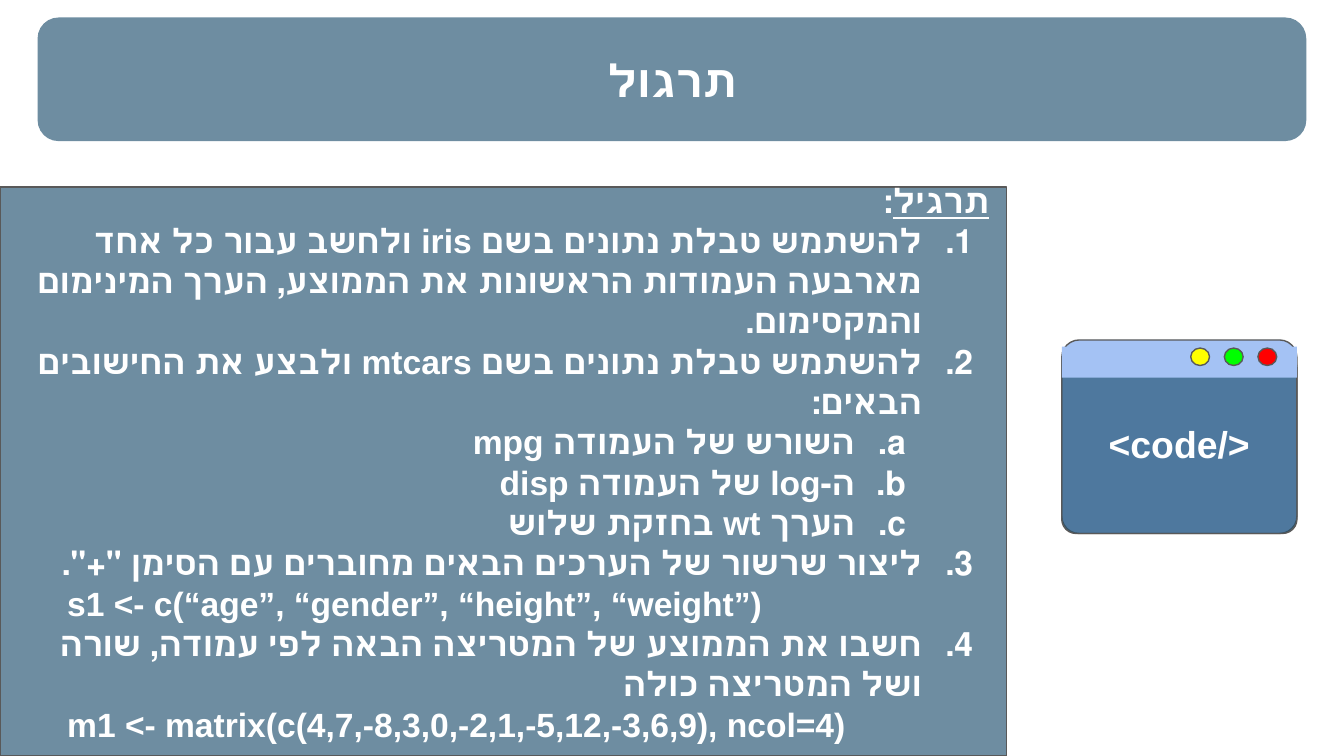
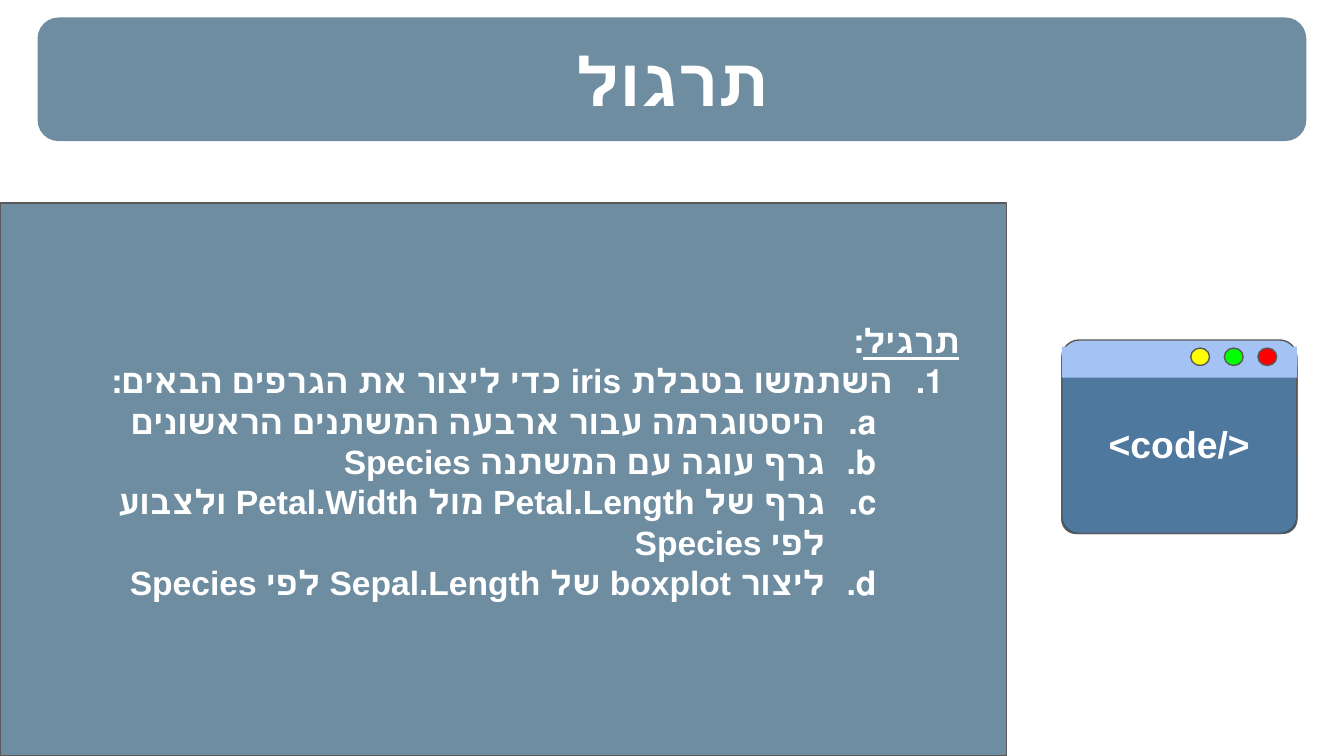
"""Build two Hebrew exercise slides about R."""
import pptx
import pptx.dml.color
import pptx.enum.shapes
import pptx.enum.text
import pptx.oxml.ns
import pptx.util
from lxml import etree

Inches = pptx.util.Inches
Pt = pptx.util.Pt
SHAPE = pptx.enum.shapes.MSO_SHAPE
ALIGN = pptx.enum.text.PP_ALIGN
qn = pptx.oxml.ns.qn

WIDTH = 10
HEIGHT = WIDTH * 9 / 16
FONT = "Arial"
TEAL, SKY, GREY, WHITE = "215170", "A4C2F4", "595959", "FFFFFF"
LIGHTS = ["FFFF00", "00FF00", "FF0000"]

FIRST_EXERCISE = [
    ("heading", "תרגיל"),
    ("number", "להשתמש טבלת נתונים בשם iris ולחשב עבור כל אחד מארבעה העמודות הראשונות את הממוצע, הערך המינימום והמקסימום."),
    ("number", "להשתמש טבלת נתונים בשם mtcars ולבצע את החישובים הבאים:"),
    ("letter", "השורש של העמודה mpg"),
    ("letter", "ה-log של העמודה disp"),
    ("letter", "הערך wt בחזקת שלוש"),
    ("number", "ליצור שרשור של הערכים הבאים מחוברים עם הסימן \"+\"."),
    ("code", "s1 <- c(“age”, “gender”, “height”, “weight”)"),
    ("number", "חשבו את הממוצע של המטריצה הבאה לפי עמודה, שורה ושל המטריצה כולה"),
    ("code", "m1 <- matrix(c(4,7,-8,3,0,-2,1,-5,12,-3,6,9), ncol=4)"),
]
SECOND_EXERCISE = [
    ("heading", "תרגיל"),
    ("number", "השתמשו בטבלת iris כדי ליצור את הגרפים הבאים:"),
    ("letter", "היסטוגרמה עבור ארבעה המשתנים הראשונים"),
    ("letter", "גרף עוגה עם המשתנה Species"),
    ("letter", "גרף של Petal.Length מול Petal.Width ולצבוע לפי Species"),
    ("letter", "ליצור boxplot של Sepal.Length לפי Species"),
]


def color(value):
    """Turn a hex string into a colour."""
    return pptx.dml.color.RGBColor.from_string(value)


def place(shape, at):
    """Move and size a shape in inches."""
    shape.left, shape.top, shape.width, shape.height = map(Inches, at)


def add_block(shapes, kind, at, fill, alpha=None, line=GREY, corner=None):
    """Add a filled preset shape, optionally see-through or outlined."""
    shape = shapes.add_shape(kind, *map(Inches, at))
    shape.shadow.inherit = False
    shape.fill.solid()
    shape.fill.fore_color.rgb = color(fill)
    if alpha:
        tint = shape.element.spPr.find(".//" + qn("a:srgbClr"))
        etree.SubElement(tint, qn("a:alpha"), val=str(alpha * 1000))
    if line:
        shape.line.color.rgb = color(line)
        shape.line.width = Pt(0.75)
    else:
        shape.line.fill.background()
    if corner is not None:
        shape.adjustments[0] = corner
    return shape


def set_frame(frame, margin=0):
    """Give a text frame its margins, wrapping and middle anchor."""
    frame.margin_left = frame.margin_right = Inches(margin)
    frame.margin_top = frame.margin_bottom = Inches(margin)
    frame.word_wrap = True
    frame.auto_size = pptx.enum.text.MSO_AUTO_SIZE.NONE
    frame.vertical_anchor = pptx.enum.text.MSO_ANCHOR.MIDDLE


def style_paragraph(para, size, align, rtl=False):
    """Set direction, spacing and bold white type."""
    para.alignment = align
    para.line_spacing = 1.0
    para.space_before = para.space_after = Pt(0)
    para._p.get_or_add_pPr().set("rtl", "1" if rtl else "0")
    for span in para.runs:
        span.font.name = FONT
        span.font.size = Pt(size)
        span.font.bold = True
        span.font.color.rgb = color(WHITE)


def set_indent(para, left, hanging=0):
    """Indent a paragraph in inches."""
    properties = para._p.get_or_add_pPr()
    properties.set("marL", str(Inches(left)))
    properties.set("indent", str(-Inches(hanging)))
    return properties


def add_numbering(para, level, start):
    """Number a paragraph with digits or, one level in, with letters."""
    para.level = level
    properties = set_indent(para, 0.5 * (level + 1), 0.38)
    bullet_color = etree.SubElement(properties, qn("a:buClr"))
    etree.SubElement(bullet_color, qn("a:srgbClr"), val=WHITE)
    etree.SubElement(properties, qn("a:buFont"), typeface=FONT)
    scheme = "alphaLcPeriod" if level else "arabicPeriod"
    numbering = etree.SubElement(properties, qn("a:buAutoNum"), type=scheme)
    if start:
        numbering.set("startAt", str(start))


def write_exercise(frame, lines):
    """Write the heading, numbered tasks and code lines."""
    set_frame(frame)
    frame.margin_left = Inches(0.25)
    frame.margin_bottom = Inches(0.3)
    number, previous = 0, None
    for index, (kind, text) in enumerate(lines):
        para = frame.add_paragraph() if index else frame.paragraphs[0]
        para.text = text
        if kind == "heading":
            para.runs[0].font.underline = True
            colon = para.add_run()
            colon.text = ":"
            colon.font.underline = False
        is_code = kind == "code"
        style_paragraph(para, 18, ALIGN.LEFT if is_code else ALIGN.RIGHT, not is_code)
        if is_code:
            set_indent(para, 0.25)
        elif kind == "number":
            number += 1
            add_numbering(para, 0, number if previous == "code" else None)
        elif kind == "letter":
            add_numbering(para, 1, None)
        else:
            set_indent(para, 0)
        previous = kind


def add_code_window(page):
    """Draw the grouped code window with its three lights."""
    left, width = 7.9, 1.75
    shapes = page.shapes.add_group_shape().shapes
    add_block(shapes, SHAPE.ROUNDED_RECTANGLE, (left, 2.53, width, 1.44), SKY, corner=0.09)
    body = add_block(shapes, SHAPE.ROUNDED_RECTANGLE, (left, 2.63, width, 1.34),
                     TEAL, alpha=65, corner=0.08)
    set_frame(body.text_frame, 0.1)
    body.text_frame.text = "<code/>"
    style_paragraph(body.text_frame.paragraphs[0], 20, ALIGN.CENTER)
    add_block(shapes, SHAPE.RECTANGLE, (left, 2.58, width, 0.23), SKY, line=None)
    for index, light in enumerate(LIGHTS):
        add_block(shapes, SHAPE.OVAL, (8.86 + 0.25 * index, 2.59, 0.14, 0.13), light)


def add_title_band(layout, page):
    """Put the title band on the layout that all pages share."""
    band = add_block(page.shapes, SHAPE.ROUNDED_RECTANGLE, (0.28, 0.13, 9.44, 0.92),
                     TEAL, alpha=65, line=None, corner=0.17)
    band.element.nvSpPr.cNvPr.set("id", "20")
    layout.shapes.element.insert(2, band.element)


def add_exercise_page(deck, layout, title_size, panel_top, body_at, lines):
    """Add one page with title, panel, code window and exercise."""
    page = deck.slides.add_slide(layout)
    title, body = page.shapes.title, page.placeholders[1]
    place(title, (0.33, 0.29, 9.34, 0.6))
    set_frame(title.text_frame)
    title.text_frame.text = "תרגול"
    style_paragraph(title.text_frame.paragraphs[0], title_size, ALIGN.CENTER, True)
    add_block(page.shapes, SHAPE.RECTANGLE, (0, panel_top, 7.49, HEIGHT - panel_top),
              TEAL, alpha=65)
    add_code_window(page)
    place(body, body_at)
    write_exercise(body.text_frame, lines)
    page.shapes.element.append(body.element)
    return page


def main():
    """Build and save the deck."""
    deck = pptx.Presentation()
    deck.slide_width, deck.slide_height = Inches(WIDTH), Inches(HEIGHT)
    layout = deck.slide_layouts[0]
    first = add_exercise_page(deck, layout, 24, 1.39, (0, 1.64, 7.36, 3.89), FIRST_EXERCISE)
    add_title_band(layout, first)
    add_exercise_page(deck, layout, 36, 1.51, (0.43, 1.77, 6.71, 3.62), SECOND_EXERCISE)
    deck.save("out.pptx")


if __name__ == "__main__":
    main()
